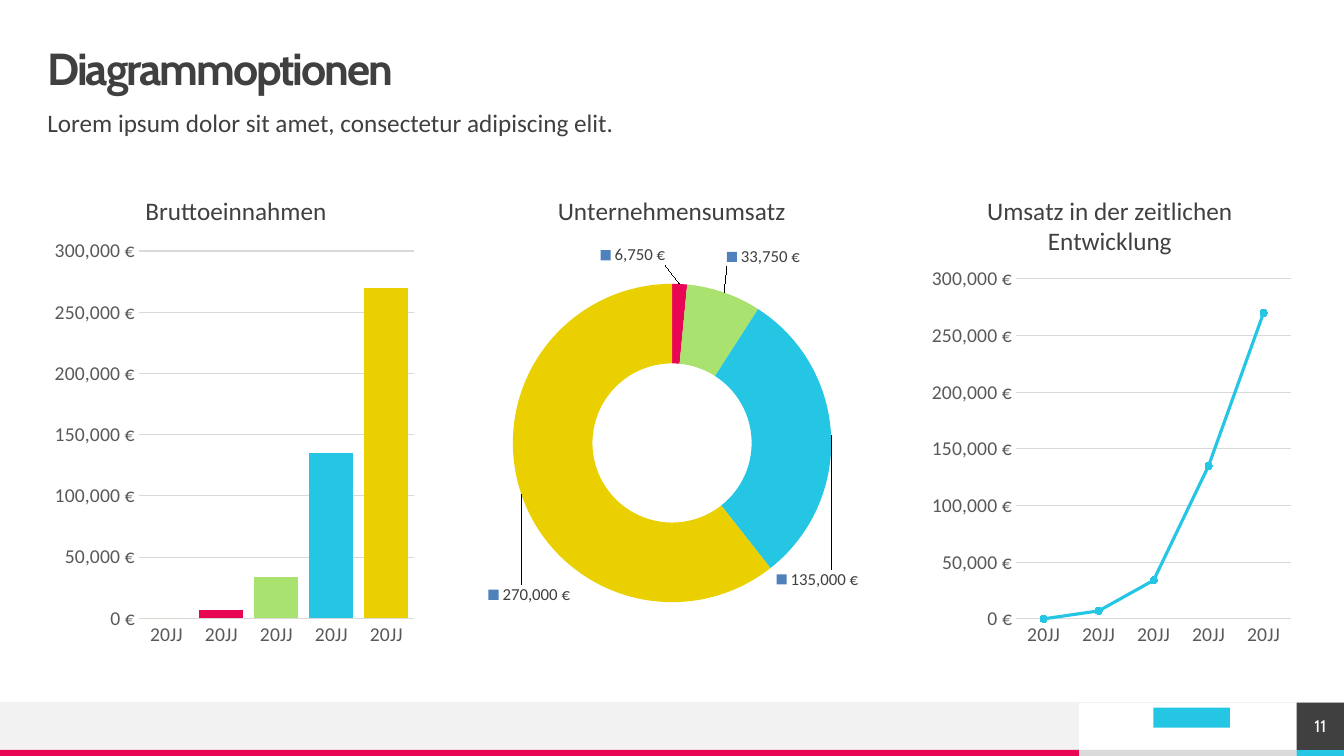
from lxml import etree
from pptx import Presentation
from pptx.chart.data import CategoryChartData
from pptx.dml.color import RGBColor
from pptx.enum.chart import XL_CHART_TYPE, XL_MARKER_STYLE, XL_TICK_MARK
from pptx.enum.shapes import MSO_CONNECTOR, MSO_SHAPE
from pptx.enum.text import MSO_ANCHOR, MSO_AUTO_SIZE, PP_ALIGN
from pptx.oxml import parse_xml
from pptx.oxml.ns import nsdecls, qn
from pptx.util import Inches, Pt

COLUMN, DOUGHNUT = XL_CHART_TYPE.COLUMN_CLUSTERED, XL_CHART_TYPE.DOUGHNUT
LINE = XL_CHART_TYPE.LINE_MARKERS_STACKED
CIRCLE, NO_TICK = XL_MARKER_STYLE.CIRCLE, XL_TICK_MARK.NONE
RECT, STRAIGHT = MSO_SHAPE.RECTANGLE, MSO_CONNECTOR.STRAIGHT
TOP, MIDDLE = MSO_ANCHOR.TOP, MSO_ANCHOR.MIDDLE
LEFT, CENTER = PP_ALIGN.LEFT, PP_ALIGN.CENTER

DARK, GREY, GRID, PALE = "404040", "595959", "D9D9D9", "F2F2F2"
PINK, GREEN, CYAN, YELLOW = "E80554", "A9E26F", "25C6E3", "EAD000"
SLICES = [GREEN, PINK, GREEN, CYAN, YELLOW]
EURO = "#,##0\\ [$€-407]"
YEARS = ["20JJ"] * 5
REVENUE = [0, 7000, 34000, 135000, 270000]


def rgb(code):
    return RGBColor.from_string(code)


def apply(target, values):
    for name, value in values.items():
        setattr(target, name, value)


def paint(fill, color):
    fill.solid()
    fill.fore_color.rgb = rgb(color)


def stroke(line, color, width):
    paint(line.fill, color)
    line.width = Pt(width)


def place(parent, index, **fractions):
    """Set a manual layout, in fractions of the chart, on a chart part."""
    for old in parent.findall(qn("c:layout")):
        parent.remove(old)
    modes = '<c:layoutTarget val="inner"/>' if "w" in fractions else ""
    if parent.tag != qn("c:dLbl"):
        modes += '<c:xMode val="edge"/><c:yMode val="edge"/>'
    sizes = "".join(f'<c:{k} val="{v}"/>' for k, v in fractions.items())
    parent.insert(index, parse_xml(
        f'<c:layout {nsdecls("c")}><c:manualLayout>{modes}{sizes}'
        "</c:manualLayout></c:layout>"))


class ChartSlide:
    def __init__(self, deck):
        self.slide = deck.slides.add_slide(deck.slide_layouts[1])
        self.shapes = self.slide.shapes

    def font(self, font, size, color, name="Calibri", bold=False):
        apply(font, {"name": name, "size": Pt(size), "bold": bold})
        font.color.rgb = rgb(color)

    def label(self, shape, text, size, color, name="Calibri", bold=False,
              anchor=TOP, align=LEFT, spacing=1.0, before=0, tracking=0):
        frame = shape.text_frame
        apply(frame, {"word_wrap": True, "auto_size": MSO_AUTO_SIZE.NONE,
                      "vertical_anchor": anchor, "margin_left": 0, "margin_top": 0,
                      "margin_right": 0, "margin_bottom": 0})
        paragraph = frame.paragraphs[0]
        apply(paragraph, {"alignment": align, "line_spacing": spacing,
                          "space_before": Pt(before)})
        run = paragraph.add_run()
        run.text = text
        self.font(run.font, size, color, name, bold)
        if tracking:
            run.font._element.set("spc", str(int(tracking * 100)))
        return paragraph

    def placeholder(self, index, box, text, size, **style):
        holder = self.slide.placeholders[index]
        sides = ("left", "top", "width", "height")
        apply(holder, dict(zip(sides, map(Inches, box))))
        paragraph = self.label(holder, text, size, DARK, spacing=0.9, **style)
        if index:
            props = paragraph._p.get_or_add_pPr()
            props.set("marL", "0")
            props.set("indent", "0")
            etree.SubElement(props, qn("a:buNone"))

    def bar(self, left, top, width, height, color):
        shape = self.shapes.add_shape(RECT, *map(Inches, (left, top, width, height)))
        shape.shadow.inherit = False
        paint(shape.fill, color)
        shape.line.fill.background()
        return shape

    def rule(self, x1, y1, x2, y2, color, width):
        line = self.shapes.add_connector(STRAIGHT, *map(Inches, (x1, y1, x2, y2)))
        stroke(line.line, color, width)
        etree.SubElement(line._element.spPr, qn("a:effectLst"))

    def chart(self, kind, left, title, title_x, categories, values, area):
        data = CategoryChartData(number_format=EURO)
        data.categories = categories
        data.add_series("Series 1", values)
        chart = self.shapes.add_chart(
            kind, *map(Inches, (left, 1.65, 3.71, 4.86)), data).chart
        chart.has_legend = False
        self.font(chart.font, 10, "000000")
        chart.has_title = True
        heading = chart.chart_title
        run = heading.text_frame.paragraphs[0].add_run()
        run.text = title
        self.font(run.font, 18, DARK)
        place(heading._element, 1, x=title_x, y=0.045)
        place(chart._chartSpace.chart.plotArea, 0, **dict(zip("xywh", area)))
        chart.plots[0].vary_by_categories = False
        return chart, chart.plots[0].series[0]

    def axes(self, chart):
        for axis in (chart.category_axis, chart.value_axis):
            apply(axis, {"major_tick_mark": NO_TICK, "minor_tick_mark": NO_TICK})
            self.font(axis.tick_labels.font, 14, GREY)
        stroke(chart.category_axis.format.line, GRID, 0.75)
        scale = chart.value_axis
        apply(scale, {"minimum_scale": 0, "maximum_scale": 300000,
                      "major_unit": 50000, "has_major_gridlines": True})
        apply(scale.tick_labels, {"number_format": EURO,
                                  "number_format_is_linked": False})
        scale.format.line.fill.background()
        stroke(scale.major_gridlines.format.line, GRID, 0.75)

    def color_points(self, series):
        for index, color in enumerate(SLICES):
            paint(series.points[index].format.fill, color)

    def slice_label(self, series, index, dx, dy):
        self.font(series.points[index].data_label.font, 12, DARK)
        label = series._element.xpath(f'c:dLbls/c:dLbl[c:idx/@val="{index}"]')[0]
        place(label, 1, x=dx, y=dy)
        number = parse_xml(f'<c:numFmt {nsdecls("c")} sourceLinked="0"/>')
        number.set("formatCode", EURO)
        label.insert(2, number)
        label.find(qn("c:showLegendKey")).set("val", "1")


def main():
    deck = Presentation()
    deck.slide_width, deck.slide_height = Inches(13.33), Inches(7.5)
    page = ChartSlide(deck)

    # Footer band, with a plain block for the emblem
    page.bar(10.7, 7.44, 2.16, 0.06, "DADADA")
    page.bar(0, 6.97, 10.7, 0.47, PALE)
    page.bar(0, 7.44, 10.7, 0.06, PINK)
    page.bar(12.86, 7.44, 0.47, 0.06, CYAN)
    page.rule(13.33, 6.97, 0, 6.97, PALE, 0.5)
    page.bar(11.44, 7.02, 0.76, 0.2, CYAN)

    # Heading
    page.placeholder(0, (0.47, 0.47, 12.39, 0.47), "Diagrammoptionen", 32,
                     name="Cabin", bold=True, anchor=MIDDLE, tracking=-1.5)
    page.placeholder(1, (0.47, 1.1, 12.4, 0.39),
                     "Lorem ipsum dolor sit amet, consectetur adipiscing elit.",
                     18, before=10)

    # Gross revenue
    income, years = page.chart(COLUMN, 0.47, "Bruttoeinnahmen", 0.25, YEARS,
                               REVENUE, (0.245, 0.173, 0.735, 0.75))
    page.axes(income)
    income.plots[0].gap_width = 25
    paint(years.format.fill, GREEN)
    page.color_points(years)

    # Company revenue
    _, shares = page.chart(DOUGHNUT, 4.82, "Unternehmensumsatz", 0.18, "12345",
                           [0, 6750, 33750, 135000, 270000],
                           (0.07, 0.24, 0.855, 0.65))
    page.color_points(shares)
    shares.data_labels.show_value = False
    offsets = [(-0.12, -0.14), (0.14, -0.15), (0.07, 0.29), (-0.08, 0.23)]
    for index, (dx, dy) in enumerate(offsets, start=1):
        page.slice_label(shares, index, dx, dy)

    # Revenue over time
    history, trend = page.chart(LINE, 9.17, "Umsatz in der zeitlichen Entwicklung",
                                0.155, YEARS, REVENUE, (0.245, 0.23, 0.735, 0.694))
    page.axes(history)
    trend.smooth = False
    stroke(trend.format.line, CYAN, 2.25)
    apply(trend.marker, {"style": CIRCLE, "size": 5})
    paint(trend.marker.format.fill, CYAN)
    stroke(trend.marker.format.line, CYAN, 0.75)

    # Page number
    number = page.bar(12.86, 6.97, 0.47, 0.47, DARK)
    page.label(number, "11", 12, "FFFFFF", name="Cabin", anchor=MIDDLE, align=CENTER)
    deck.save("out.pptx")


if __name__ == "__main__":
    main()
